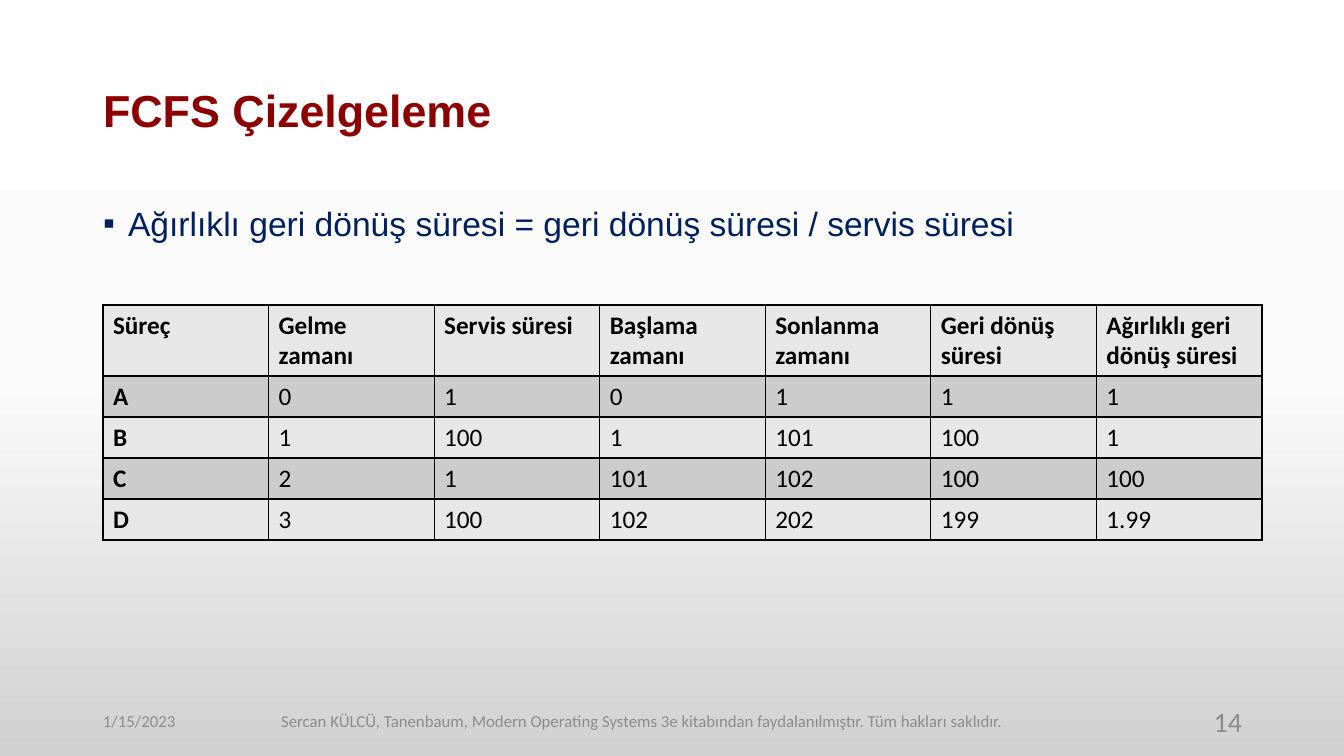
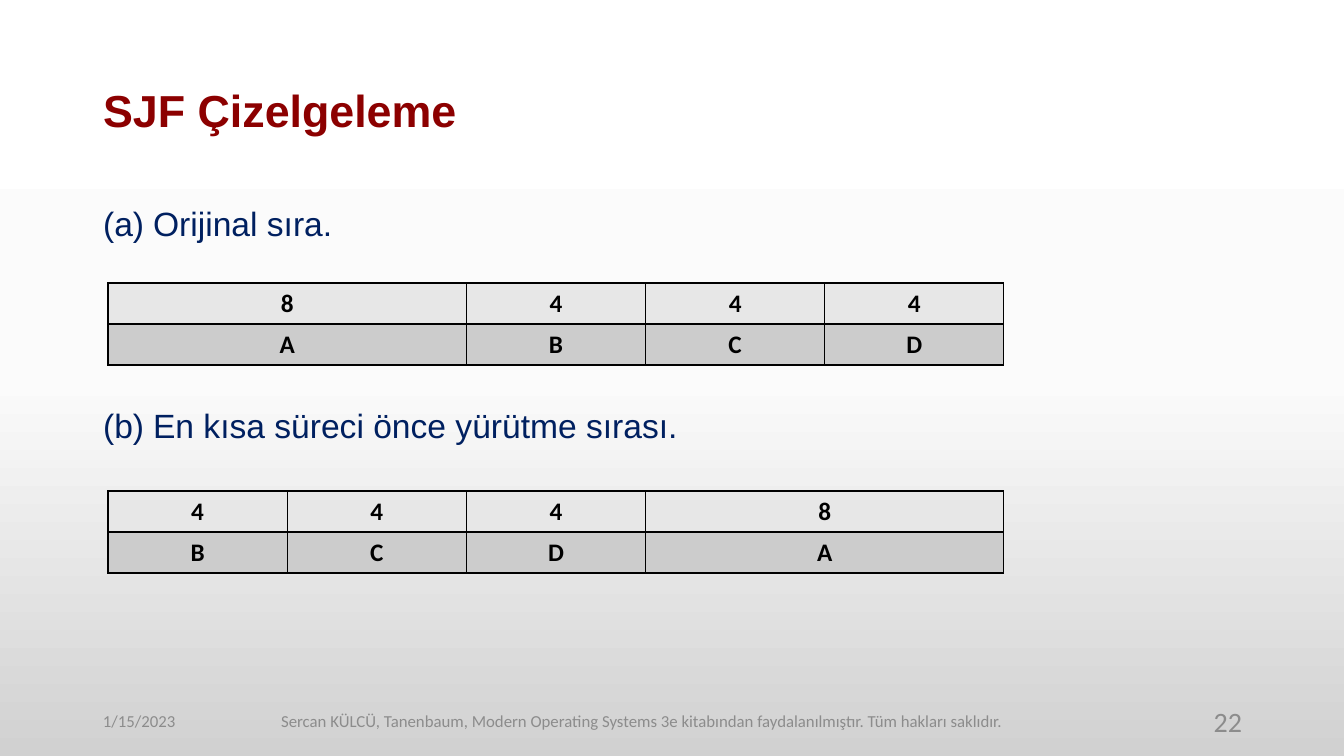
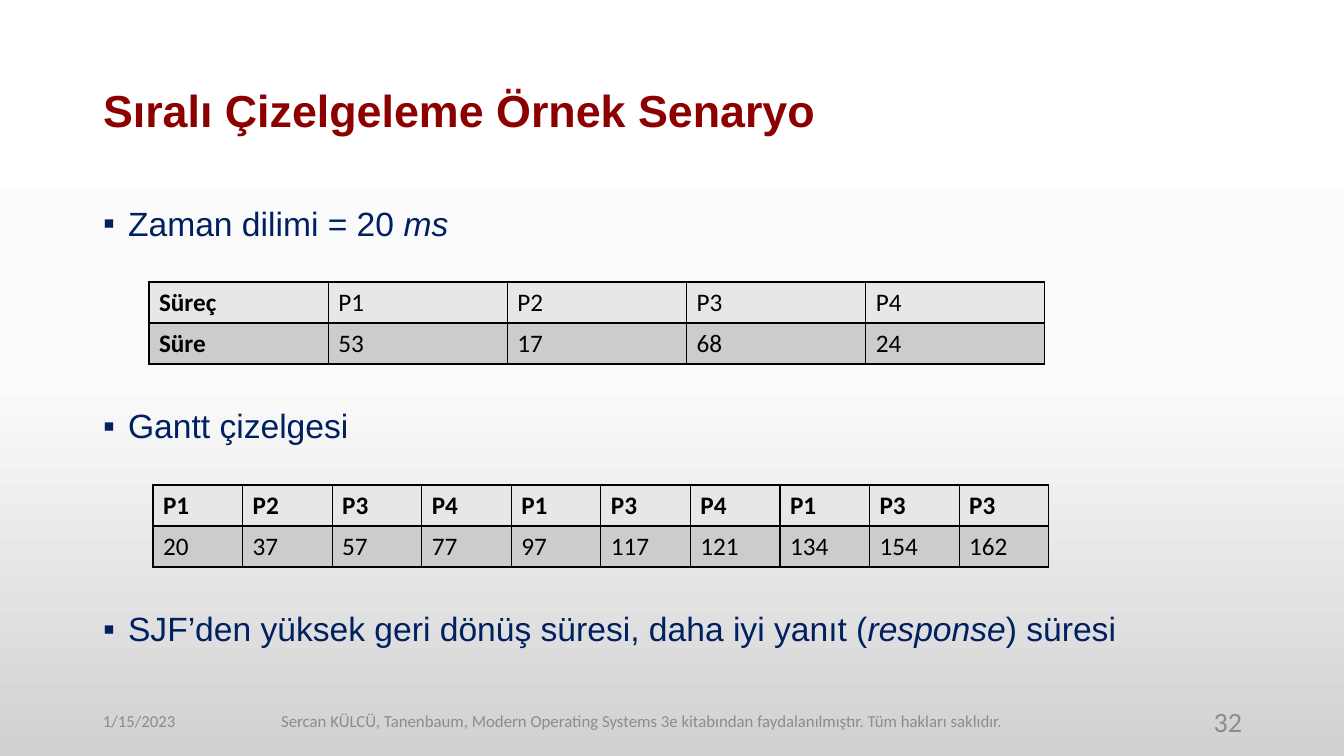
from copy import deepcopy

from lxml import etree
from pptx import Presentation
from pptx.dml.color import RGBColor
from pptx.enum.text import MSO_ANCHOR, MSO_AUTO_SIZE, PP_ALIGN
from pptx.oxml.ns import qn
from pptx.util import Emu, Pt

LEFT, CENTER, RIGHT, JUSTIFY = (
    PP_ALIGN.LEFT, PP_ALIGN.CENTER, PP_ALIGN.RIGHT, PP_ALIGN.JUSTIFY)
MIDDLE, TOP = MSO_ANCHOR.MIDDLE, MSO_ANCHOR.TOP
NO_AUTOFIT = MSO_AUTO_SIZE.NONE

EMU_PER_PX = 914400 / 100.8
SLIDE_SIZE = (1344, 756)
TITLE_BOX = (93, 40, 1159, 146)
BODY_BOX = (93, 202, 1159, 516)
DATE_BOX = (93, 701, 302, 40)
CREDIT_BOX = (260, 701, 764, 40)
NUMBER_BOX = (950, 701, 302, 40)
ROW_HEIGHT = 41
BODY_GAP = 119  # points left between list items for a table

COLORS = {
    "title": "8C0000",
    "body": "002060",
    "footer": "8C8C8C",
    "cell_text": "000000",
    "border": "000000",
    "light_row": "E7E7E7",
    "dark_row": "CCCCCC",
}
BACKGROUND_STOPS = [(0, "FFFFFF"), (0.5, "FBFBFB"), (1, "D1D1D1")]
HEADING_FONT, TABLE_FONT = "Arial", "Calibri"

DATE = "1/15/2023"
CREDIT = ("Sercan KÜLCÜ, Tanenbaum, Modern Operating Systems 3e kitabından "
          "faydalanılmıştır. Tüm hakları saklıdır.")


def px(length):
    return Emu(round(length * EMU_PER_PX))


def place(shape, box):
    shape.left, shape.top, shape.width, shape.height = map(px, box)


def set_font(paragraph, name, size, color, bold=False):
    font = paragraph.font
    font.name, font.size, font.bold = name, Pt(size), bold
    font.color.rgb = RGBColor.from_string(COLORS[color])


def set_background(master):
    fill = master.background.fill
    fill.gradient()
    fill.gradient_angle = 270
    stop_list = master.element.find(".//" + qn("a:gsLst"))
    stop_list.append(deepcopy(stop_list[0]))
    for stop, (position, color) in zip(fill.gradient_stops, BACKGROUND_STOPS):
        stop.position = position
        stop.color.rgb = RGBColor.from_string(color)


def add_title(slide, text, box):
    title = slide.shapes.title
    place(title, box)
    frame = title.text_frame
    frame.text = text
    frame.auto_size, frame.vertical_anchor = NO_AUTOFIT, MIDDLE
    paragraph = frame.paragraphs[0]
    paragraph.alignment, paragraph.line_spacing = LEFT, 0.9
    set_font(paragraph, HEADING_FONT, 32, "title", bold=True)


def set_bullet(paragraph, lettered):
    indent = px(50 if lettered else 25)
    properties = paragraph._p.get_or_add_pPr()
    properties.set("marL", str(indent))
    properties.set("indent", str(-indent))
    etree.SubElement(properties, qn("a:buFont"), typeface=HEADING_FONT)
    if lettered:
        etree.SubElement(properties, qn("a:buAutoNum"), type="alphaLcParenBoth")
    else:
        etree.SubElement(properties, qn("a:buChar"), char="▪")


def add_body(slide, items, box, lettered=False):
    """Fill the body list; text between asterisks is italic."""
    body = slide.placeholders[1]
    place(body, box)
    frame = body.text_frame
    frame.auto_size, frame.vertical_anchor = NO_AUTOFIT, TOP
    for index, item in enumerate(items):
        paragraph = frame.add_paragraph() if index else frame.paragraphs[0]
        set_bullet(paragraph, lettered)
        paragraph.alignment, paragraph.line_spacing = JUSTIFY, 0.9
        paragraph.space_before = Pt(BODY_GAP if index else 0)
        set_font(paragraph, HEADING_FONT, 24, "body")
        for part, text in enumerate(item.split("*")):
            if text:
                run = paragraph.add_run()
                run.text = text
                if part % 2:
                    run.font.italic = True


def add_footer_text(slide, text, box, alignment, size=12):
    footer = slide.shapes.add_textbox(*map(px, box))
    frame = footer.text_frame
    frame.word_wrap, frame.vertical_anchor = True, MIDDLE
    frame.text = text
    paragraph = frame.paragraphs[0]
    paragraph.alignment = alignment
    set_font(paragraph, TABLE_FONT, size, "footer")


def add_footer(slide, number):
    add_footer_text(slide, DATE, DATE_BOX, LEFT)
    add_footer_text(slide, CREDIT, CREDIT_BOX, CENTER)
    add_footer_text(slide, str(number), NUMBER_BOX, RIGHT, size=20)


def set_borders(cell):
    properties = cell._tc.get_or_add_tcPr()
    for side in ("a:lnL", "a:lnR", "a:lnT", "a:lnB"):
        line = etree.SubElement(properties, qn(side), w=str(Pt(1)))
        fill = etree.SubElement(line, qn("a:solidFill"))
        etree.SubElement(fill, qn("a:srgbClr"), val=COLORS["border"])


def add_grid(slide, rows, left, top, width, weights=None, bold_rows=0,
             bold_columns=0, alignment=LEFT, first_height=ROW_HEIGHT):
    """Add a banded table whose columns share the width by weight."""
    weights = weights or [1] * len(rows[0])
    height = first_height + ROW_HEIGHT * (len(rows) - 1)
    table = slide.shapes.add_table(
        len(rows), len(weights), *map(px, (left, top, width, height))).table
    for column, weight in zip(table.columns, weights):
        column.width = px(width * weight / sum(weights))
    for r, texts in enumerate(rows):
        table.rows[r].height = px(ROW_HEIGHT if r else first_height)
        band = COLORS["dark_row" if r % 2 else "light_row"]
        for c, text in enumerate(texts):
            cell = table.cell(r, c)
            cell.text = text
            set_borders(cell)
            cell.fill.solid()
            cell.fill.fore_color.rgb = RGBColor.from_string(band)
            paragraph = cell.text_frame.paragraphs[0]
            paragraph.alignment = alignment
            set_font(paragraph, TABLE_FONT, 18, "cell_text",
                     bold=r < bold_rows or c < bold_columns)


def add_base_slide(prs, title, items, number, lettered=False):
    slide = prs.slides.add_slide(prs.slide_layouts[1])
    add_title(slide, title, TITLE_BOX)
    add_body(slide, items, BODY_BOX, lettered)
    add_footer(slide, number)
    return slide


def add_fcfs_slide(prs):
    slide = add_base_slide(
        prs, "FCFS Çizelgeleme",
        ["Ağırlıklı geri dönüş süresi = geri dönüş süresi / servis süresi"], 14)
    processes = [
        ["Süreç", "Gelme zamanı", "Servis süresi", "Başlama zamanı",
         "Sonlanma zamanı", "Geri dönüş süresi", "Ağırlıklı geri dönüş süresi"],
        ["A", "0", "1", "0", "1", "1", "1"],
        ["B", "1", "100", "1", "101", "100", "1"],
        ["C", "2", "1", "101", "102", "100", "100"],
        ["D", "3", "100", "102", "202", "199", "1.99"],
    ]
    add_grid(slide, processes, 103, 305, 1159, bold_rows=1, bold_columns=1,
             first_height=71)


def add_sjf_slide(prs):
    slide = add_base_slide(
        prs, "SJF Çizelgeleme",
        ["Orijinal sıra.", "En kısa süreci önce yürütme sırası."], 22,
        lettered=True)
    for order, top in (("ABCD", 283), ("BCDA", 491)):
        durations = [8 if process == "A" else 4 for process in order]
        add_grid(slide, [[str(d) for d in durations], list(order)],
                 108, top, 896, weights=durations, bold_rows=2,
                 alignment=CENTER)


def add_round_robin_slide(prs):
    slide = add_base_slide(
        prs, "Sıralı Çizelgeleme Örnek Senaryo",
        ["Zaman dilimi = 20 *ms*", "Gantt çizelgesi",
         "SJF’den yüksek geri dönüş süresi, daha iyi yanıt (*response*) süresi"],
        32)
    bursts = [["Süreç", "P1", "P2", "P3", "P4"],
              ["Süre", "53", "17", "68", "24"]]
    gantt = [
        ["P1", "P2", "P3", "P4", "P1", "P3", "P4", "P1", "P3", "P3"],
        ["20", "37", "57", "77", "97", "117", "121", "134", "154", "162"],
    ]
    add_grid(slide, bursts, 149, 282, 896, bold_columns=1)
    add_grid(slide, gantt, 153, 485, 896, bold_rows=1)


def main():
    prs = Presentation()
    prs.slide_width, prs.slide_height = map(px, SLIDE_SIZE)
    set_background(prs.slide_master)
    add_fcfs_slide(prs)
    add_sjf_slide(prs)
    add_round_robin_slide(prs)
    prs.save("out.pptx")


if __name__ == "__main__":
    main()
